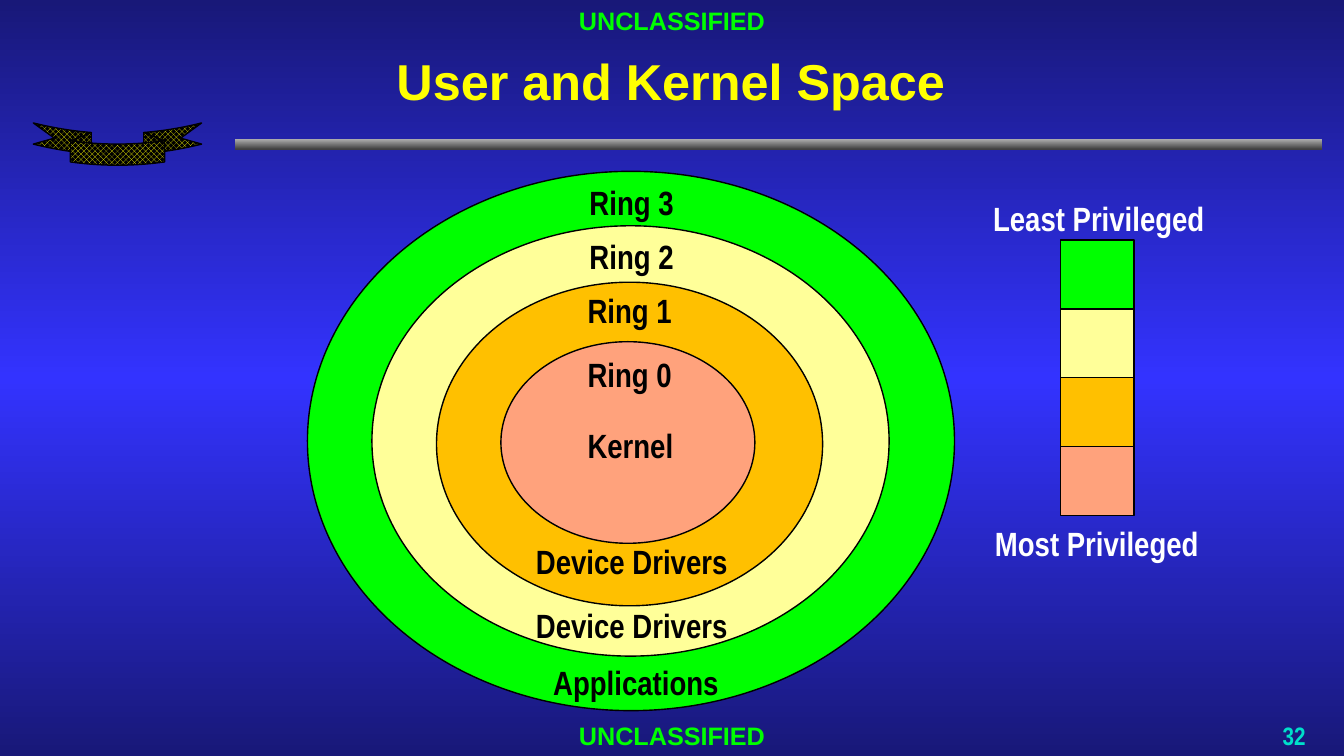
from copy import deepcopy
from pptx import Presentation
from pptx.dml.color import RGBColor
from pptx.enum.dml import MSO_PATTERN
from pptx.enum.shapes import MSO_SHAPE
from pptx.enum.text import MSO_ANCHOR, PP_ALIGN
from pptx.util import Pt

COLORS = {
    "edge": "181878", "middle": "3333FF", "bar_top": "AEAEAE", "bar_bottom": "404040",
    "green": "00FF00", "cream": "FFFF99", "orange": "FFC000", "salmon": "FFA27C",
    "yellow": "FFFF00", "cyan": "00DFCA", "white": "FFFFFF", "black": "000000",
}
MARKING = "UNCLASSIFIED"
TITLE = "User and Kernel Space"
PAGE_NUMBER = "32"
RINGS = [
    ("green", (219.6, 122.4, 462.2, 385.2)),
    ("cream", (265.7, 161.3, 369.4, 307.4)),
    ("orange", (311.8, 201.6, 275.8, 231.1)),
    ("salmon", (357.8, 244.1, 181.4, 144)),
]
RING_LABELS = [
    (["Ring 3"], (414, 126.7, 90.7, 36)),
    (["Ring 2"], (414, 164.9, 90.7, 36)),
    (["Ring 1"], (412.6, 203.8, 90.7, 36)),
    (["Ring 0", "Kernel"], (412.6, 249.1, 90.7, 87.1)),
    (["Device Drivers"], (375.8, 383, 177.8, 36)),
    (["Device Drivers"], (375.8, 428.4, 177.8, 36)),
    (["Applications"], (388.1, 469.4, 143.3, 36)),
]
PRIVILEGE_LABELS = [
    ("Least Privileged", (688.3, 137.5, 193, 36)),
    ("Most Privileged", (686.9, 370.1, 193, 36)),
]
SWATCH_LEFT, SWATCH_TOP, SWATCH_WIDTH, SWATCH_HEIGHT = 757.4, 171.5, 52.6, 49.2


def rgb(name):
    return RGBColor.from_string(COLORS[name])


def add_gradient(fill, names):
    fill.gradient()
    fill.gradient_angle = 270
    stops = fill.gradient_stops
    if len(names) == 3:
        stop_list = fill._fill._gradFill.gsLst
        stop_list.append(deepcopy(stop_list[-1]))
        stops = fill.gradient_stops
    for index, (stop, name) in enumerate(zip(stops, names)):
        stop.color.rgb = rgb(name)
        stop.position = index / (len(names) - 1)


def add_outlined(slide, kind, box, color=None):
    shape = slide.shapes.add_shape(kind, *map(Pt, box))
    shape.shadow.inherit = False
    shape.line.color.rgb = rgb("black")
    shape.line.width = Pt(1)
    if color:
        shape.fill.solid()
        shape.fill.fore_color.rgb = rgb(color)
    return shape


def add_label(slide, lines, box, color="black", size=24, font="Arial Narrow",
              align=PP_ALIGN.LEFT, anchor=MSO_ANCHOR.TOP, spacing=None, gap=22):
    frame = slide.shapes.add_textbox(*map(Pt, box)).text_frame
    frame.word_wrap = True
    frame.vertical_anchor = anchor
    for index, line in enumerate(lines):
        paragraph = frame.add_paragraph() if index else frame.paragraphs[0]
        paragraph.alignment = align
        if index:
            paragraph.space_before = Pt(gap)
        if spacing:
            paragraph.line_spacing = spacing
        run = paragraph.add_run()
        run.text = line
        run.font.name = font
        run.font.size = Pt(size)
        run.font.bold = True
        run.font.color.rgb = rgb(color)


def main():
    deck = Presentation()
    deck.slide_width, deck.slide_height = Pt(960), Pt(540)
    slide = deck.slides.add_slide(deck.slide_layouts[6])
    add_gradient(slide.background.fill, ["edge", "middle", "edge"])

    bar = add_outlined(slide, MSO_SHAPE.RECTANGLE, (167.8, 99.4, 776.2, 7.2))
    add_gradient(bar.fill, ["bar_top", "bar_bottom"])
    bar.line.fill.background()

    for top in (0, 511.2):
        add_label(slide, [MARKING], (0, top, 960, 28.8), "green", 18, "Arial",
                  PP_ALIGN.CENTER, MSO_ANCHOR.MIDDLE)

    ribbon = add_outlined(slide, MSO_SHAPE.CURVED_UP_RIBBON, (23.8, 87.8, 120.2, 30.2))
    ribbon.rotation = 180
    for index, value in enumerate((0.5, 0.56, 0.25)):
        ribbon.adjustments[index] = value
    ribbon.fill.patterned()
    ribbon.fill.pattern = MSO_PATTERN.LARGE_CHECKER_BOARD
    ribbon.fill.fore_color.rgb = rgb("yellow")
    ribbon.fill.back_color.rgb = rgb("black")

    add_label(slide, [PAGE_NUMBER], (907.2, 514.8, 32.4, 24.5), "cyan", 18,
              align=PP_ALIGN.RIGHT, anchor=MSO_ANCHOR.MIDDLE, spacing=0.8)
    add_label(slide, [TITLE], (167.8, 15.8, 622.8, 90), "yellow", 36, "Arial",
              PP_ALIGN.CENTER, MSO_ANCHOR.MIDDLE, Pt(37))

    for color, box in RINGS:
        add_outlined(slide, MSO_SHAPE.OVAL, box, color)
    for lines, box in RING_LABELS:
        add_label(slide, lines, box)

    for index, (color, _) in enumerate(RINGS):
        top = SWATCH_TOP + index * SWATCH_HEIGHT
        add_outlined(slide, MSO_SHAPE.RECTANGLE,
                     (SWATCH_LEFT, top, SWATCH_WIDTH, SWATCH_HEIGHT), color)
    for label, box in PRIVILEGE_LABELS:
        add_label(slide, [label], box, "white", align=PP_ALIGN.CENTER)

    deck.save("out.pptx")


if __name__ == "__main__":
    main()
